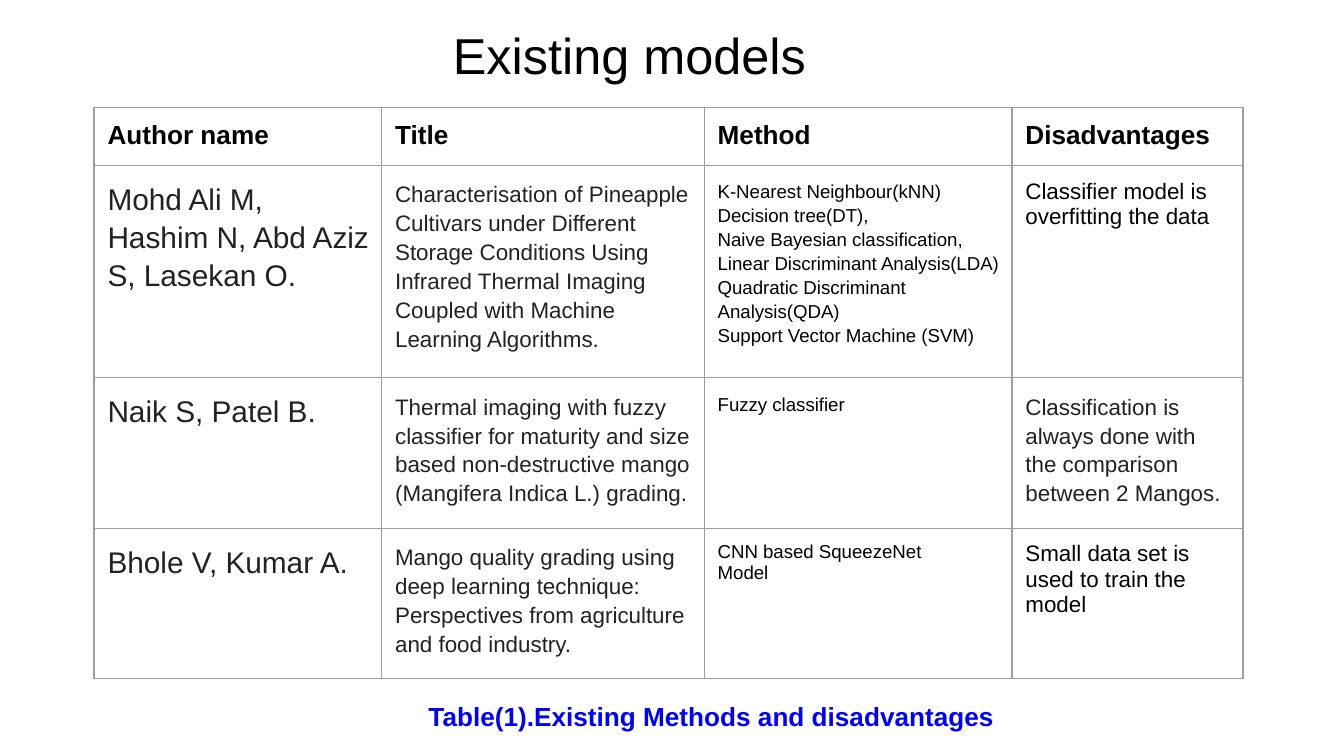
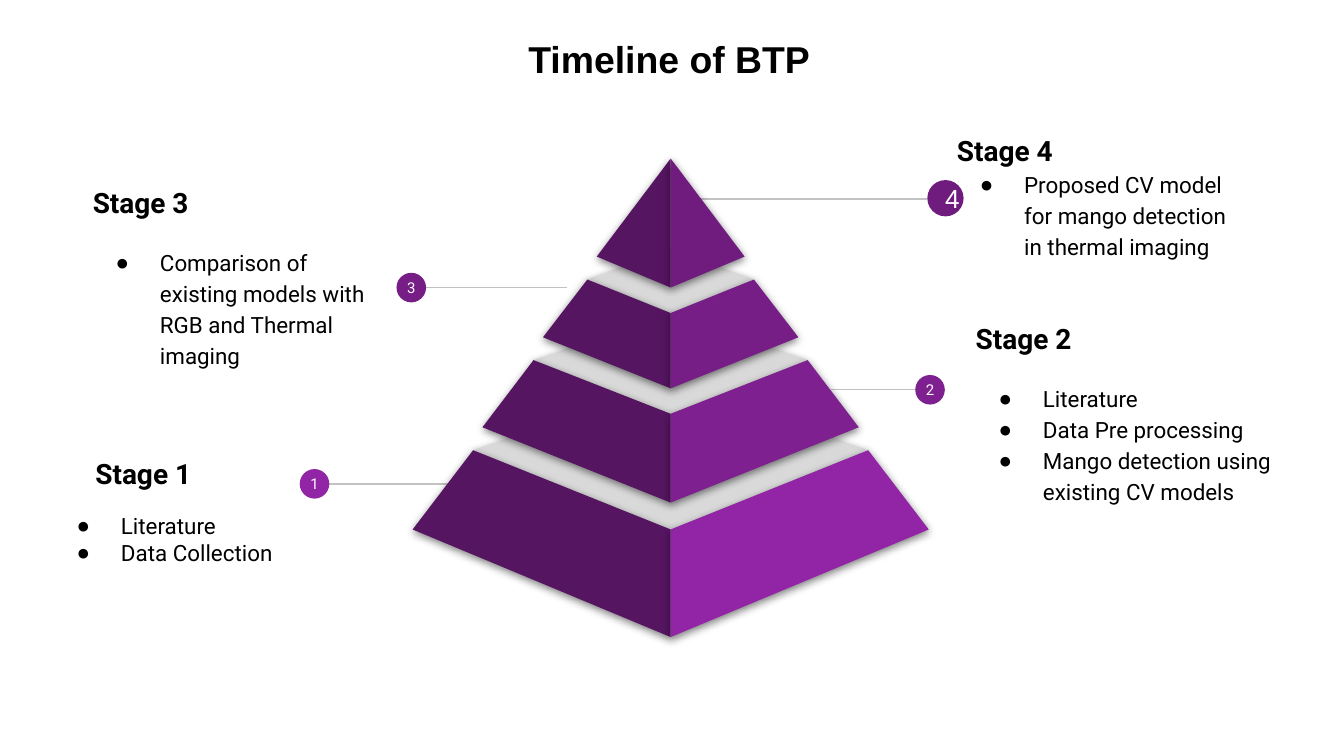
from dataclasses import dataclass, replace
from typing import NamedTuple

from lxml import etree
from pptx import Presentation
from pptx.dml.color import RGBColor
from pptx.enum import shapes, text
from pptx.oxml.ns import qn
from pptx import util as u

SCALE = 9144
MIDDLE = text.MSO_ANCHOR.MIDDLE
TOP = text.MSO_ANCHOR.TOP
CENTER = text.PP_ALIGN.CENTER
LEFT = text.PP_ALIGN.LEFT


@dataclass(frozen=True)
class Theme:
    """Colours, fonts and type sizes of the deck."""
    ink: str = "000000"
    soft_ink: str = "222222"
    white: str = "FFFFFF"
    caption: str = "0000FF"
    border: str = "9E9E9E"
    rule: str = "C2C2C2"
    lid: str = "D9D9D9"
    dark_face: str = "551561"
    tiers: tuple[str, ...] = ("701C7F", "761E86", "7F2090", "9225A5")
    sans: str = "Arial"
    stage_font: str = "Roboto"
    title: int = 27
    bold_title: int = 20
    stage: int = 15
    header: int = 14
    author: int = 16
    body: int = 12
    method: int = 10
    badge: int = 8
    line: float = 0.75


THEME = Theme()


class Box(NamedTuple):
    """Place of an element in px."""
    left: int
    top: int
    width: int
    height: int


@dataclass(frozen=True)
class Style:
    """Look of one paragraph."""
    size: int
    color: str = THEME.ink
    bold: bool = False
    font: str = THEME.sans
    align: text.PP_ALIGN = LEFT
    spacing: float = 1.0
    after: int = 0


class Cell(NamedTuple):
    """Lines of a table cell and their style."""
    lines: tuple[str, ...]
    style: Style


class Stage(NamedTuple):
    """A stage of the timeline with its list, badge and leader line."""
    number: int
    box: Box
    items: tuple[str, ...]
    badge: Box
    leader: tuple[int, int, int]
    gap: int
    spacing: float = 1.15
    heading_indent: int = 0
    bottom_inset: int = 10
    badge_inset: int = 0
    badge_style: Style = Style(THEME.badge, THEME.white, font=THEME.stage_font, align=CENTER)


class Tier(NamedTuple):
    """Half widths and heights of one pyramid tier."""
    half_top: int
    half_base: int
    top_edge: int
    top_middle: int
    base_edge: int
    base_middle: int
    lid_apex: int | None = None


HEADER = Style(THEME.header, bold=True)
AUTHOR = Style(THEME.author, THEME.soft_ink, spacing=1.15, after=10)
PAPER = replace(AUTHOR, size=THEME.body)
METHOD = Style(THEME.method, spacing=1.15)
DRAWBACK = Style(THEME.body)

COLUMNS = (214, 240, 229, 172)
ROWS = (43, 158, 112, 112)
MODELS = (
    tuple(Cell((name,), HEADER) for name in ("Author name", "Title", "Method", "Disadvantages")),
    (
        Cell(("Mohd Ali M, Hashim N, Abd Aziz S, Lasekan O.",), AUTHOR),
        Cell(("Characterisation of Pineapple Cultivars under Different Storage Conditions Using "
              "Infrared Thermal Imaging Coupled with Machine Learning Algorithms.",), PAPER),
        Cell(("K-Nearest Neighbour(kNN)", "Decision tree(DT),", "Naive Bayesian classification,",
              "Linear Discriminant Analysis(LDA)", "Quadratic Discriminant Analysis(QDA)",
              "Support Vector Machine (SVM)"), METHOD),
        Cell(("Classifier model is overfitting the data",), DRAWBACK),
    ),
    (
        Cell(("Naik S, Patel B.",), AUTHOR),
        Cell(("Thermal imaging with fuzzy classifier for maturity and size based "
              "non-destructive mango (Mangifera Indica L.) grading.",), PAPER),
        Cell(("Fuzzy classifier",), replace(METHOD, after=12)),
        Cell(("Classification is always done with the comparison between 2 Mangos.",),
             replace(PAPER, after=12)),
    ),
    (
        Cell(("Bhole V, Kumar A.",), replace(AUTHOR, after=0)),
        Cell(("Mango quality grading using deep learning technique: Perspectives from "
              "agriculture and food industry.",), PAPER),
        Cell(("CNN based SqueezeNet", "Model"), replace(METHOD, spacing=1.0)),
        Cell(("Small data set is used to train the model",), DRAWBACK),
    ),
)

STAGES = (
    Stage(2, Box(716, 250, 266, 115),
          ("Literature", "Data Pre processing", "Mango detection using existing CV models"),
          Box(681, 279, 22, 22), (618, 700, 290), 14),
    Stage(1, Box(30, 323, 184, 115), ("Literature", "Data Collection"),
          Box(223, 349, 22, 22), (350, 226, 360), 12, spacing=1.0, heading_indent=31),
    Stage(3, Box(59, 156, 227, 115),
          ("Comparison of existing models with RGB and Thermal imaging",),
          Box(295, 203, 22, 22), (422, 298, 214), 14, bottom_inset=24),
    Stage(4, Box(702, 89, 227, 115),
          ("Proposed CV model for mango detection in thermal imaging",),
          Box(690, 134, 27, 27), (521, 690, 148), 0, badge_inset=10,
          badge_style=Style(THEME.header, THEME.white)),
)

AXIS = 499
TIERS = (
    Tier(0, 55, 118, 118, 191, 214),
    Tier(62, 95, 208, 233, 251, 289, 186),
    Tier(102, 140, 268, 308, 318, 374, 234),
    Tier(147, 192, 335, 394, 394, 474, 285),
)


def emu(px: int) -> u.Emu:
    """Turn px into EMU."""
    return u.Emu(px * SCALE)


def rgb(color: str) -> RGBColor:
    """Turn a hex string into a colour."""
    return RGBColor.from_string(color)


def place(shape, box: Box) -> None:
    """Move and size a shape."""
    shape.left, shape.top, shape.width, shape.height = map(emu, box)


def set_frame(frame, inset: int = 10, anchor=TOP, bottom: int | None = None) -> None:
    """Set wrapping, anchor and insets of a text frame."""
    frame.auto_size = text.MSO_AUTO_SIZE.NONE
    frame.word_wrap = True
    frame.vertical_anchor = anchor
    frame.margin_left = frame.margin_right = frame.margin_top = emu(inset)
    frame.margin_bottom = emu(inset if bottom is None else bottom)


def write(frame, lines: tuple[str, ...], style: Style) -> list:
    """Fill a text frame with one paragraph a line."""
    frame.text = "\n".join(lines)
    for para in frame.paragraphs:
        format_paragraph(para, style)
    return list(frame.paragraphs)


def format_paragraph(para, style: Style) -> None:
    """Apply a style to a paragraph."""
    para.alignment = style.align
    para.line_spacing = style.spacing
    para.space_before = u.Pt(0)
    para.space_after = u.Pt(style.after)
    para.font.name = style.font
    para.font.size = u.Pt(style.size)
    para.font.bold = style.bold
    para.font.color.rgb = rgb(style.color)


def set_bullet(para, margin: int, indent: int, sign: str | None = None) -> None:
    """Set the indents of a paragraph and its bullet, if any."""
    props = para._p.get_or_add_pPr()
    props.set("marL", str(emu(margin)))
    props.set("indent", str(emu(indent)))
    bullet = etree.Element(qn("a:buChar" if sign else "a:buNone"))
    if sign:
        bullet.set("char", sign)
    props.find(qn("a:defRPr")).addprevious(bullet)


def add_title(page, words: str, box: Box, style: Style) -> None:
    """Write the slide title in its placeholder."""
    title = page.shapes.title
    place(title, box)
    set_frame(title.text_frame)
    write(title.text_frame, (words,), style)


def set_borders(cell) -> None:
    """Draw thin lines round a table cell."""
    props = cell._tc.get_or_add_tcPr()
    for index, side in enumerate(("lnL", "lnR", "lnT", "lnB")):
        line = etree.Element(qn(f"a:{side}"), w=str(u.Pt(THEME.line)))
        fill = etree.SubElement(line, qn("a:solidFill"))
        etree.SubElement(fill, qn("a:srgbClr"), val=THEME.border)
        props.insert(index, line)


def add_models_table(page) -> None:
    """Draw the table of existing models."""
    box = Box(70, 80, sum(COLUMNS), sum(ROWS))
    table = page.shapes.add_table(len(ROWS), len(COLUMNS), *map(emu, box)).table
    table.first_row = table.horz_banding = False
    for column, width in zip(table.columns, COLUMNS):
        column.width = emu(width)
    for row, height, entries in zip(table.rows, ROWS, MODELS):
        row.height = emu(height)
        for cell, entry in zip(row.cells, entries):
            cell.margin_left = cell.margin_top = cell.margin_bottom = emu(10)
            cell.margin_right = emu(9)
            cell.fill.background()
            set_borders(cell)
            write(cell.text_frame, entry.lines, entry.style)


def add_stage(page, body, stage: Stage) -> None:
    """Draw a stage: its list, leader line and numbered badge."""
    place(body, stage.box)
    set_frame(body.text_frame, anchor=MIDDLE, bottom=stage.bottom_inset)
    item_style = Style(THEME.body, font=THEME.stage_font, spacing=stage.spacing)
    heading, *items = write(body.text_frame, (f"Stage {stage.number}", *stage.items), item_style)
    format_paragraph(heading, Style(THEME.stage, bold=True, font=THEME.stage_font, after=stage.gap))
    set_bullet(heading, stage.heading_indent, 0)
    for item in items:
        set_bullet(item, 50, -33, "●")

    start, end, height = map(emu, stage.leader)
    leader = page.shapes.add_connector(shapes.MSO_CONNECTOR.STRAIGHT, start, height, end, height)
    leader.line.color.rgb = rgb(THEME.rule)
    leader.line.width = u.Pt(THEME.line)
    etree.SubElement(leader._element.spPr, qn("a:effectLst"))

    badge = page.shapes.add_shape(shapes.MSO_SHAPE.OVAL, *map(emu, stage.badge))
    badge.shadow.inherit = False
    badge.fill.solid()
    badge.fill.fore_color.rgb = rgb(THEME.tiers[4 - stage.number])
    badge.line.fill.background()
    set_frame(badge.text_frame, stage.badge_inset, MIDDLE)
    write(badge.text_frame, (str(stage.number),), stage.badge_style)


def add_face(page, points: list[tuple[int, int]], color: str) -> None:
    """Draw one shaded polygon of the pyramid."""
    builder = page.shapes.build_freeform(*points[0], scale=SCALE)
    builder.add_line_segments(points[1:], close=True)
    face = builder.convert_to_shape()
    face.fill.solid()
    face.fill.fore_color.rgb = rgb(color)
    face.line.fill.background()
    face.shadow.inherit = False
    effects = face._element.spPr.find(qn("a:effectLst"))
    shadow = etree.SubElement(effects, qn("a:outerShdw"), blurRad=str(u.Pt(4.5)),
                              dist=str(u.Pt(1.5)), dir="5400000", algn="bl", rotWithShape="0")
    shade = etree.SubElement(shadow, qn("a:srgbClr"), val=THEME.ink)
    etree.SubElement(shade, qn("a:alpha"), val="50000")


def add_pyramid(page) -> None:
    """Draw the lids and then the two faces of every tier."""
    for tier in reversed(TIERS):
        if tier.lid_apex is not None:
            add_face(page, [(AXIS - tier.half_top, tier.top_edge), (AXIS, tier.top_middle),
                            (AXIS + tier.half_top, tier.top_edge), (AXIS, tier.lid_apex)], THEME.lid)
    for tier, color in reversed(list(zip(TIERS, THEME.tiers))):
        for side, shade in ((-1, THEME.dark_face), (1, color)):
            points = [(AXIS + side * tier.half_top, tier.top_edge), (AXIS, tier.top_middle),
                      (AXIS, tier.base_middle), (AXIS + side * tier.half_base, tier.base_edge)]
            add_face(page, list(dict.fromkeys(points)), shade)


def build_models_page(deck) -> None:
    """Build the slide with the table of models."""
    page = deck.slides.add_slide(deck.slide_layouts.get_by_name("Title Only"))
    add_title(page, "Existing models ", Box(107, 8, 733, 66), Style(THEME.title, align=CENTER))
    add_models_table(page)
    caption = page.shapes.add_textbox(*map(emu, Box(309, 511, 487, 44))).text_frame
    set_frame(caption)
    write(caption, ("Table(1).Existing Methods and disadvantages",),
          replace(HEADER, color=THEME.caption))


def build_timeline_page(deck) -> None:
    """Build the slide with the pyramid of stages."""
    page = deck.slides.add_slide(deck.slide_layouts.get_by_name("Comparison"))
    add_title(page, "Timeline of BTP", Box(86, 17, 824, 54),
              Style(THEME.bold_title, bold=True, align=CENTER))
    bodies = list(page.placeholders)[1:]
    for body, stage in zip(bodies, STAGES):
        add_stage(page, body, stage)
    add_pyramid(page)


def main() -> None:
    """Build and save the deck at 16:9."""
    deck = Presentation()
    deck.slide_width = emu(1000)
    deck.slide_height = u.Emu(deck.slide_width * 9 // 16)
    build_models_page(deck)
    build_timeline_page(deck)
    deck.save("out.pptx")


if __name__ == "__main__":
    main()
